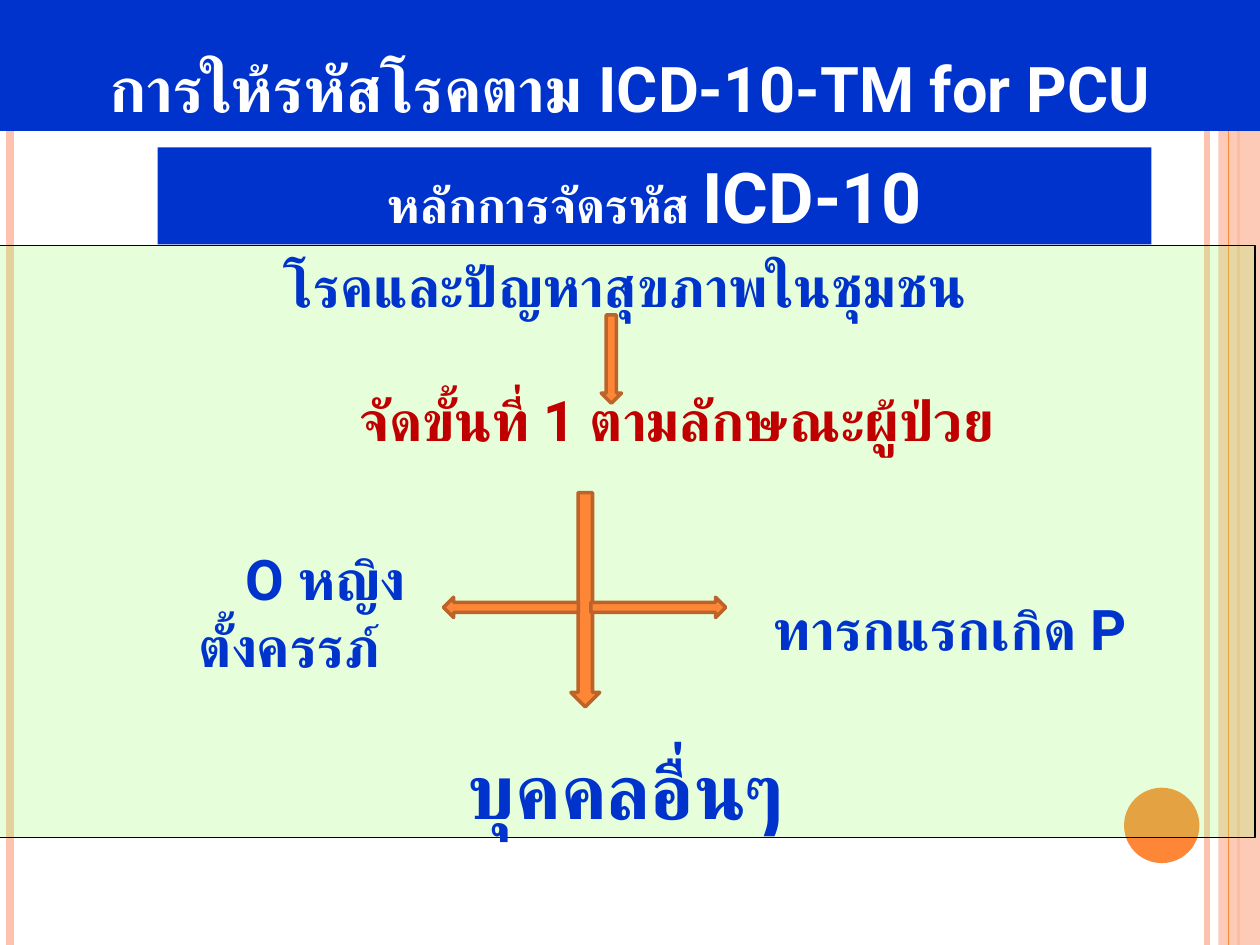
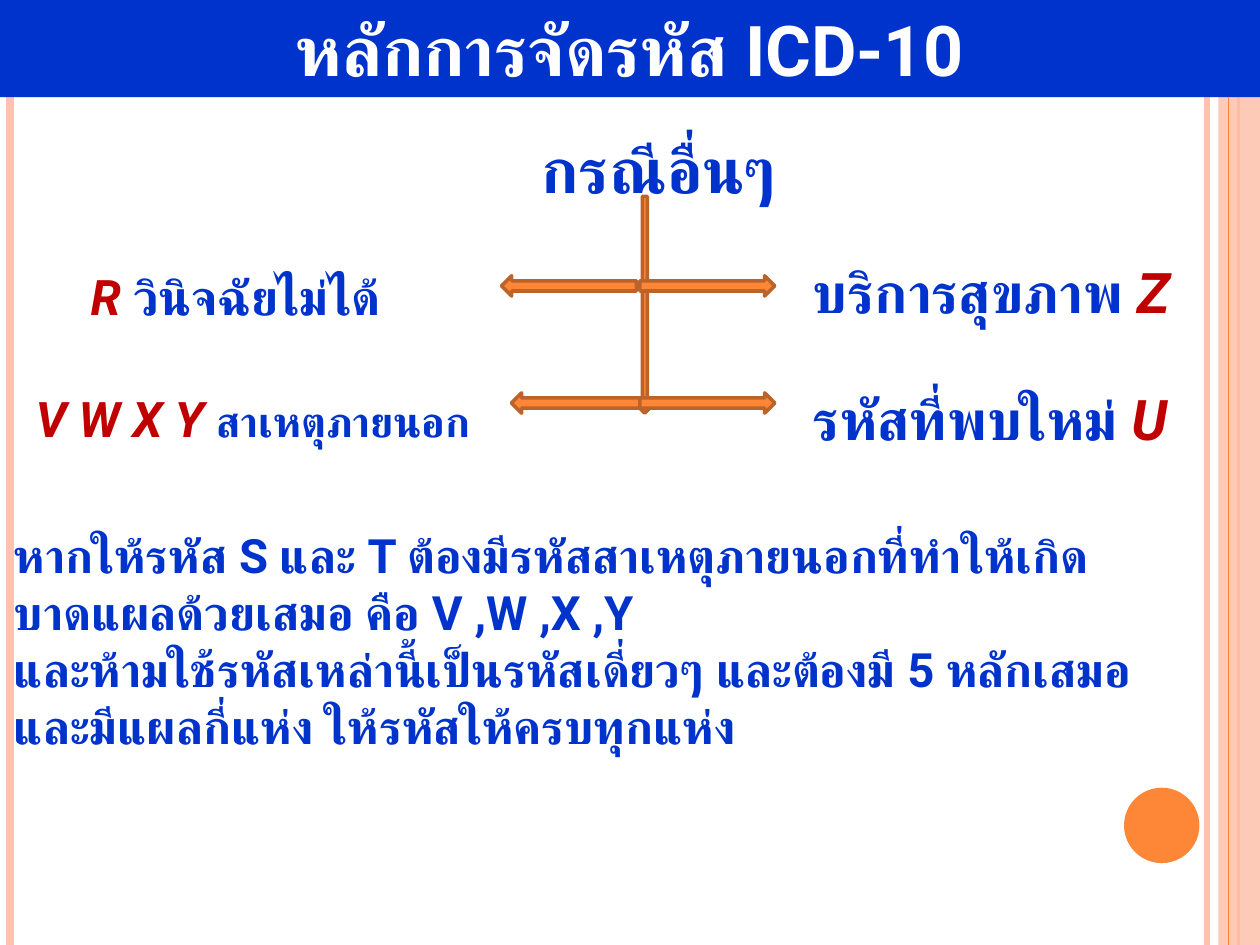
from dataclasses import dataclass

import pptx
import pptx.dml.color
import pptx.enum.shapes
import pptx.enum.text
import pptx.oxml
import pptx.oxml.ns
import pptx.util
from pptx.util import Cm


@dataclass(frozen=True)
class Theme:
    font: str = "Roboto"
    blue: str = "0033CC"
    red: str = "C00000"
    white: str = "FFFFFF"
    black: str = "000000"
    orange: str = "FE8637"
    orange_edge: str = "BC6329"
    pink: str = "FEC3AE"
    green: str = "99FF66"
    heading: int = 40
    main_title: int = 36
    large: int = 44
    case: int = 36
    label: int = 32
    small_label: int = 28
    note: int = 24
    body: int = 27


theme = Theme()
PRESET = pptx.enum.shapes.MSO_SHAPE
ANCHOR = pptx.enum.text.MSO_ANCHOR
ALIGN = pptx.enum.text.PP_ALIGN
RGB = pptx.dml.color.RGBColor.from_string


def add_block(slide, preset, box, fill, edge=None, edge_width=2, opacity=None):
    """Add a filled shape; box is left, top, width, height in cm, opacity in percent."""
    shape = slide.shapes.add_shape(preset, *[Cm(length) for length in box])
    shape.shadow.inherit = False
    shape.fill.solid()
    shape.fill.fore_color.rgb = RGB(fill)
    if opacity:
        color = shape.fill._xPr.find(".//" + pptx.oxml.ns.qn("a:srgbClr"))
        alpha = color.makeelement(pptx.oxml.ns.qn("a:alpha"), {"val": str(opacity * 1000)})
        color.append(alpha)
    if edge:
        shape.line.color.rgb = RGB(edge)
        shape.line.width = pptx.util.Pt(edge_width)
    else:
        shape.line.fill.background()
    return shape


def write_text(shape, paragraphs, anchor=ANCHOR.MIDDLE, align=ALIGN.LEFT, margin=0.25):
    """Fill a shape with paragraphs, each a list of (text, size, color, italic) runs."""
    frame = shape.text_frame
    frame.word_wrap = True
    frame.vertical_anchor = anchor
    frame.margin_left = Cm(margin)
    for index, runs in enumerate(paragraphs):
        paragraph = frame.add_paragraph() if index else frame.paragraphs[0]
        paragraph.alignment = align
        for text, size, color, italic in runs:
            run = paragraph.add_run()
            run.text = text
            run.font.size = pptx.util.Pt(size)
            run.font.name = theme.font
            run.font.bold = True
            run.font.italic = italic
            run.font.color.rgb = RGB(color)
            complex_font = run.font._element.makeelement(
                pptx.oxml.ns.qn("a:cs"), {"typeface": theme.font})
            run.font._element.append(complex_font)
    return frame


presentation = pptx.Presentation()
presentation.slide_width = Cm(25.4)
presentation.slide_height = Cm(19.05)
blank_layout = presentation.slide_layouts[6]
steps_slide, cases_slide = [presentation.slides.add_slide(blank_layout) for _ in range(2)]

# Shared side stripes, corner dot and title band
stripes = [(24.33, theme.pink, 3), (0.2, theme.pink, 4.5),
           (24.97, theme.orange, 1.5), (24.77, theme.orange, 0.75)]
titles = [
    (steps_slide, 2.64, "การให้รหัสโรคตาม ICD-10-TM for PCU", theme.main_title, ANCHOR.BOTTOM),
    (cases_slide, 1.96, "หลักการจัดรหัส ICD-10", theme.heading, ANCHOR.TOP),
]
for slide, band_height, title, size, anchor in titles:
    for position, color, width in stripes:
        if position == stripes[-1][0]:
            add_block(slide, PRESET.RECTANGLE, (24.56, 0, 0.84, 19.05), theme.pink, opacity=87)
        stripe = slide.shapes.add_connector(
            pptx.enum.shapes.MSO_CONNECTOR.STRAIGHT,
            Cm(position), 0, Cm(position), presentation.slide_height)
        stripe.line.color.rgb = RGB(color)
        stripe.line.width = pptx.util.Pt(width)
        properties = stripe._element.spPr
        properties.append(properties.makeelement(pptx.oxml.ns.qn("a:effectLst"), {}))
    add_block(slide, PRESET.OVAL, (22.66, 15.88, 1.52, 1.52), theme.orange)
    band = add_block(slide, PRESET.RECTANGLE, (0, 0, 25.4, band_height), theme.blue)
    write_text(band, [[(title, size, theme.white, False)]], anchor, ALIGN.CENTER)

# First slide: first sorting step
subtitle = add_block(steps_slide, PRESET.RECTANGLE, (3.18, 2.97, 20.03, 1.96), theme.blue)
write_text(subtitle, [[("หลักการจัดรหัส ", theme.small_label, theme.white, False),
                       ("ICD-10", theme.heading, theme.white, False)]],
           ANCHOR.TOP, ALIGN.CENTER)

panel = add_block(steps_slide, PRESET.RECTANGLE, (-0.1, 4.95, 25.4, 11.94),
                  theme.green, theme.black, 0.75, opacity=24)
panel_frame = write_text(panel, [
    [("โรคและปัญหาสุขภาพในชุมชน", theme.label, theme.blue, False)],
    [("จัดขั้นที่ 1 ตามลักษณะผู้ป่วย", theme.label, theme.red, False)],
], ANCHOR.TOP, ALIGN.CENTER)
step_paragraph = panel_frame.paragraphs[1]
step_paragraph.space_before = pptx.util.Pt(38)
step_paragraph._p.get_or_add_pPr().set("marL", str(Cm(2.08)))

# Second slide: the closing rule
rule_box = cases_slide.shapes.add_textbox(Cm(0.03), Cm(10.49), Cm(25.37), Cm(5.1))
rule_lines = [
    "หากให้รหัส S และ T ต้องมีรหัสสาเหตุภายนอกที่ทำให้เกิดบาดแผลด้วยเสมอ คือ V ,W ,X ,Y",
    "และห้ามใช้รหัสเหล่านี้เป็นรหัสเดี่ยวๆ และต้องมี 5 หลักเสมอ",
    "และมีแผลกี่แห่ง ให้รหัสให้ครบทุกแห่ง",
]
rule_frame = write_text(
    rule_box, [[(line, theme.body, theme.blue, False)] for line in rule_lines], ANCHOR.TOP)
rule_frame.margin_right = Cm(1.3)

# Arrows of both slides
side_size = (2.72, 0.41)
arrows = [
    (steps_slide, PRESET.DOWN_ARROW, (11.51, 9.93, 0.58, 4.32)),
    (steps_slide, PRESET.RIGHT_ARROW, (11.91, 12.04, *side_size)),
    (steps_slide, PRESET.LEFT_ARROW, (8.94, 12.04, *side_size)),
    (steps_slide, PRESET.DOWN_ARROW, (12.12, 6.35, 0.41, 1.78)),
    (cases_slide, PRESET.DOWN_ARROW, (12.9, 3.96, 0.2, 4.37)),
]
for top, left in [(5.56, 10.11), (7.92, 10.31)]:
    arrows.append((cases_slide, PRESET.LEFT_ARROW, (left, top, *side_size)))
    arrows.append((cases_slide, PRESET.RIGHT_ARROW, (12.9, top, *side_size)))
for slide, preset, box in arrows:
    add_block(slide, preset, box, theme.orange, theme.orange_edge)

# Labels around the arrows: slide, box, alignment, left margin, runs
labels = [
    (steps_slide, (3.76, 10.64, 4.78, 3.38), ALIGN.LEFT, 0.25,
     [("O หญิงตั้งครรภ์", theme.label, theme.blue, False)]),
    (steps_slide, (14.88, 10.97, 8.13, 3.38), ALIGN.LEFT, 0.72,
     [("ทารกแรกเกิด P", theme.label, theme.blue, False)]),
    (steps_slide, (8.56, 14.22, 8.13, 3.38), ALIGN.CENTER, 0.25,
     [("บุคคลอื่นๆ", theme.large, theme.blue, False)]),
    (cases_slide, (9.22, 2.59, 8.13, 1.6), ALIGN.CENTER, 0.25,
     [("กรณีอื่นๆ", theme.case, theme.blue, False)]),
    (cases_slide, (0.79, 5.16, 9.52, 1.6), ALIGN.LEFT, 1.04,
     [("R ", theme.small_label, theme.red, True),
      ("วินิจฉัยไม่ได้", theme.small_label, theme.blue, False)]),
    (cases_slide, (15.67, 4.88, 9.73, 1.98), ALIGN.LEFT, 0.72,
     [("บริการสุขภาพ ", theme.label, theme.blue, False),
      ("Z", theme.label, theme.red, True)]),
    (cases_slide, (0, 7.44, 10.72, 1.98), ALIGN.LEFT, 0.72,
     [("V W X Y ", theme.small_label, theme.red, True),
      ("สาเหตุภายนอก", theme.note, theme.blue, False)]),
    (cases_slide, (15.67, 7.44, 9.73, 1.98), ALIGN.LEFT, 0.72,
     [("รหัสที่พบใหม่ ", theme.label, theme.blue, False),
      ("U", theme.label, theme.red, True)]),
]
for slide, box, align, margin, runs in labels:
    label = slide.shapes.add_textbox(*[Cm(length) for length in box])
    label_frame = write_text(label, [runs], align=align, margin=margin)
    if align == ALIGN.LEFT:
        label_frame.margin_right = 0
    if runs[0][0].startswith("O "):
        label_frame.paragraphs[0]._p.get_or_add_pPr().set("indent", str(Cm(0.94)))

presentation.save("out.pptx")
